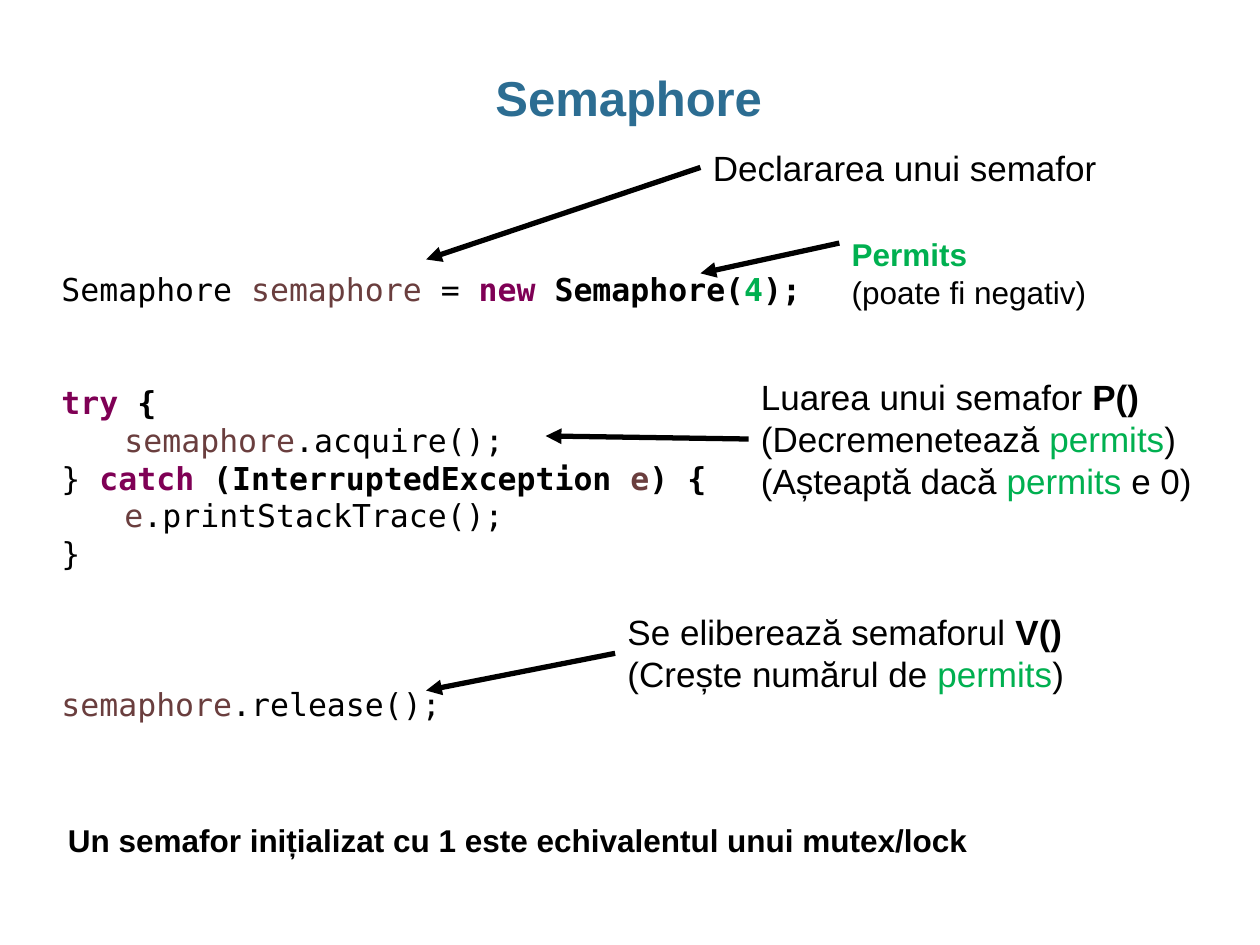
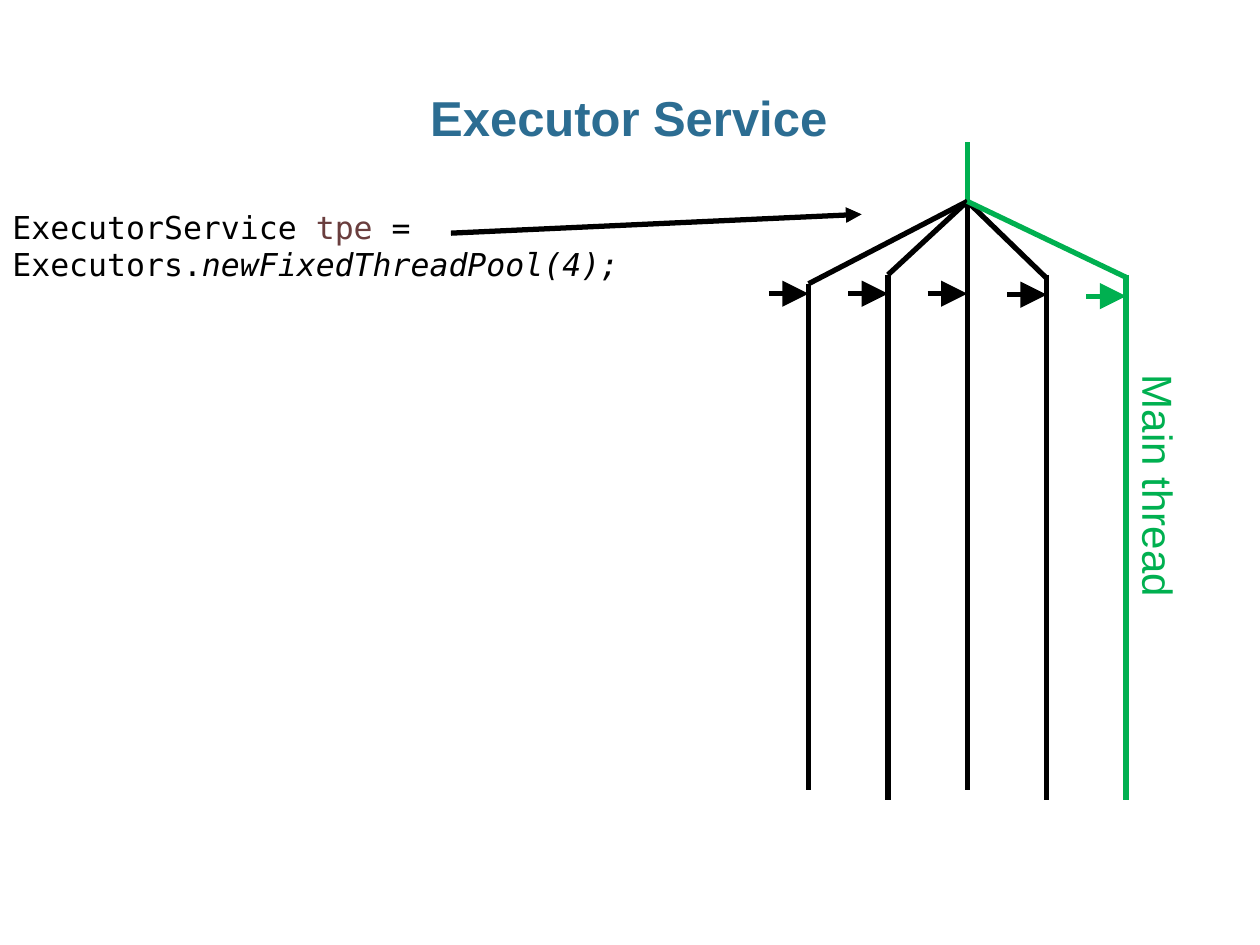
from dataclasses import dataclass

from lxml import etree
from pptx import Presentation
from pptx.dml.color import RGBColor
from pptx.enum.shapes import MSO_CONNECTOR
from pptx.enum.text import MSO_ANCHOR, MSO_AUTO_SIZE, PP_ALIGN
from pptx.oxml.ns import qn
from pptx.util import Cm, Pt

STRAIGHT = MSO_CONNECTOR.STRAIGHT
TOP = MSO_ANCHOR.TOP
FIT_SHAPE = MSO_AUTO_SIZE.SHAPE_TO_FIT_TEXT
CENTER = PP_ALIGN.CENTER
LEFT_SIDE = 1


@dataclass(frozen=True)
class Theme:
    background: str = "FFFFFF"
    title: str = "2C6D92"
    ink: str = "000000"
    green: str = "00B050"
    variable: str = "6A3E3E"
    keyword: str = "7F0055"
    body_font: str = "Arial"
    code_font: str = "DejaVu Sans Mono"
    title_size: int = 28
    thread_size: int = 24
    label_size: int = 20
    code_size: int = 18
    code_pitch: float = 21.6
    line_width: int = 3


THEME = Theme()


@dataclass(frozen=True)
class Words:
    """A stretch of text in one style."""
    text: str
    color: str = THEME.ink
    bold: bool = False
    italic: bool = False


def variable(text, bold=False):
    return Words(text, THEME.variable, bold)


def keyword(text):
    return Words(text, THEME.keyword, True)


def strong(text):
    return Words(text, bold=True)


PERMITS = Words("permits", THEME.green)


def add_words(paragraph, words, font, size):
    run = paragraph.add_run()
    run.text = words.text
    run.font.name = font
    run.font.size = Pt(size)
    run.font.bold = words.bold
    run.font.italic = words.italic
    run.font.color.rgb = RGBColor.from_string(words.color)


def add_text(slide, box, lines, size, font=THEME.body_font, wrap=False):
    """Add a text box; each line is a list of Words."""
    shape = slide.shapes.add_textbox(*map(Cm, box))
    frame = shape.text_frame
    frame.word_wrap = wrap
    frame.auto_size = FIT_SHAPE
    frame.vertical_anchor = TOP
    for index, line in enumerate(lines):
        paragraph = frame.add_paragraph() if index else frame.paragraphs[0]
        for words in line:
            add_words(paragraph, words, font, size)
    return shape


def add_title(slide, text, top):
    title = add_text(slide, (0.85, top, 23.65, 1.27),
                     [[Words(text, THEME.title, True)]], THEME.title_size, wrap=True)
    frame = title.text_frame
    frame.auto_size = MSO_AUTO_SIZE.NONE
    frame.margin_left = frame.margin_right = 0
    frame.paragraphs[0].alignment = CENTER
    frame.paragraphs[0].line_spacing = 0.95


def add_code(slide, box, lines, gaps=None):
    """Add code; gaps maps a line's index to the empty lines above it."""
    code = add_text(slide, box, lines, THEME.code_size, THEME.code_font, wrap=True)
    for index, paragraph in enumerate(code.text_frame.paragraphs):
        paragraph.line_spacing = Pt(THEME.code_pitch)
        paragraph.space_before = Pt((gaps or {}).get(index, 0) * THEME.code_pitch)


def add_line(slide, start, end, color=THEME.ink, head=None):
    """Add a line; head is the arrowhead size, 'med' or 'lg'."""
    line = slide.shapes.add_connector(STRAIGHT, *map(Cm, (*start, *end)))
    line.line.color.rgb = RGBColor.from_string(color)
    line.line.width = Pt(THEME.line_width)
    if head:
        etree.SubElement(line.line._get_or_add_ln(), qn("a:tailEnd"),
                         type="triangle", w=head, len=head)
    etree.SubElement(line._element.spPr, qn("a:effectLst"))
    return line


def add_callout(slide, box, lines, target):
    """Add a label with an arrow from the middle of its left side."""
    label = add_text(slide, box, lines, THEME.label_size)
    left, top, _, height = box
    arrow = add_line(slide, (left, top + height / 2), target, head="med")
    arrow.begin_connect(label, LEFT_SIDE)


def add_slide(deck):
    slide = deck.slides.add_slide(deck.slide_layouts[6])
    slide.background.fill.solid()
    slide.background.fill.fore_color.rgb = RGBColor.from_string(THEME.background)
    return slide


def build_semaphore(deck):
    slide = add_slide(deck)
    add_title(slide, "Semaphore", 1.32)

    # Code
    add_code(slide, (0.99, 5.31, 16.33, 9.5), [
        [Words("Semaphore "), variable("semaphore"), Words(" = "), keyword("new"),
         strong(" Semaphore("), Words("4", THEME.green, True), strong(");")],
        [keyword("try"), strong(" {")],
        [variable("\tsemaphore"), Words(".acquire();")],
        [Words("} "), keyword("catch"), strong(" (InterruptedException "),
         variable("e", True), strong(") {")],
        [variable("\te"), Words(".printStackTrace();")],
        [Words("}")],
        [variable("semaphore"), Words(".release();")],
    ], gaps={1: 2, 6: 3})

    # Explanations pointing at the code
    add_callout(slide, (14.12, 2.82, 8.31, 1.11),
                [[Words("Declararea unui semafor")]], (8.59, 5.23))
    add_callout(slide, (15.09, 7.44, 9.25, 2.82), [
        [Words("Luarea unui semafor "), strong("P()")],
        [Words("(Decremenetează "), PERMITS, Words(")")],
        [Words("(Așteaptă dacă "), PERMITS, Words(" e 0)")],
    ], (11, 8.79))
    add_callout(slide, (12.4, 12.19, 9.35, 1.96), [
        [Words("Se eliberează semaforul "), strong("V()")],
        [Words("(Crește numărul de "), PERMITS, Words(")")],
    ], (8.59, 13.92))

    # Permits note
    add_line(slide, (16.92, 4.9), (14.12, 5.51), head="med")
    add_text(slide, (16.92, 4.62, 5.28, 1.8), [
        [Words("Permits", THEME.green, True)],
        [Words("(poate fi negativ)")],
    ], THEME.code_size)

    # Conclusion
    add_text(slide, (1.12, 16.43, 18.82, 1.02), [
        [strong("Un semafor inițializat cu 1 este echivalentul unui mutex/lock")],
    ], THEME.code_size)


def build_executor(deck):
    slide = add_slide(deck)
    add_title(slide, "Executor Service", 1.73)

    # Thread tree: trunk, then branch end, lane top, lane bottom and task height
    first_lane, lane_pitch, task_length = 16.3, 1.6, 0.8
    fork = (first_lane + 2 * lane_pitch, 4.06)
    threads = [
        (5.72, 5.72, 15.93, 5.92, THEME.ink),
        (5.54, 5.54, 16.13, 5.92, THEME.ink),
        (5.33, 5.33, 15.93, 5.92, THEME.ink),
        (5.61, 5.54, 16.13, 5.94, THEME.ink),
        (5.59, 5.54, 16.13, 5.97, THEME.green),
    ]
    add_line(slide, (fork[0], 2.87), fork, THEME.green)
    for index, (branch_end, top, bottom, task, color) in enumerate(threads):
        lane = first_lane + index * lane_pitch
        add_line(slide, fork, (lane, branch_end), color)
        add_line(slide, (lane, top), (lane, bottom), color)
        add_line(slide, (lane - task_length, task), (lane, task), color, "lg")

    # Code and its pointer to the tree
    add_code(slide, (0, 4.06, 17.37, 4.62), [
        [Words("ExecutorService "), variable("tpe"), Words(" =")],
        [Words("Executors."), Words("newFixedThreadPool(4);", italic=True)],
    ])
    add_line(slide, (9.09, 4.7), (17.37, 4.32), head="med")

    # Name of the green lane
    main_thread = add_text(slide, (20.85, 9.19, 5.03, 1.27),
                           [[Words("Main thread", THEME.green)]], THEME.thread_size)
    main_thread.rotation = 90


def main():
    deck = Presentation()
    deck.slide_width, deck.slide_height = Cm(25.4), Cm(19.05)
    build_semaphore(deck)
    build_executor(deck)
    deck.save("out.pptx")


if __name__ == "__main__":
    main()
